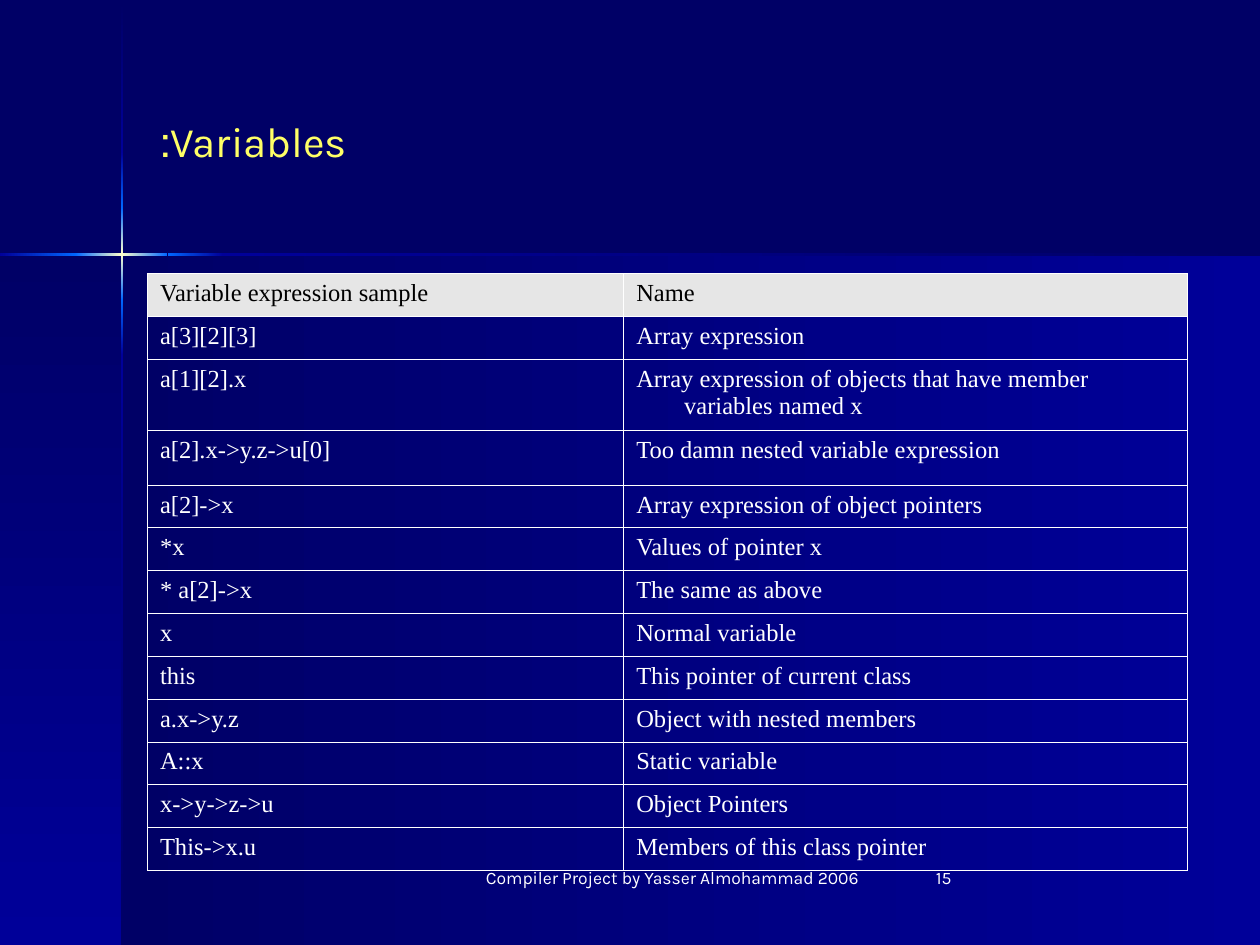
import pptx
import pptx.dml.color
import pptx.enum.shapes
import pptx.enum.text
import pptx.oxml
import pptx.oxml.ns
import pptx.util
from lxml import etree

Inches = pptx.util.Inches
Pt = pptx.util.Pt
ALIGN = pptx.enum.text.PP_ALIGN
ANCHOR = pptx.enum.text.MSO_ANCHOR

COLORS = {
    "navy": "000066",
    "blue": "000099",
    "bright": "0066FF",
    "glow": "FFFFCC",
    "title": "FFFF66",
    "white": "FFFFFF",
    "black": "000000",
    "header": "E6E6E6",
}
DOWN, LEFTWARD = 90, 180

# Left, top, width, height, gradient direction, gradient colours
PANELS = [
    (0.97, 2.02, 9.03, 5.48, LEFTWARD, ["blue", "navy"]),
    (0, 2.02, 0.97, 5.48, DOWN, ["navy", "blue"]),
]
BEAMS = [
    (0.96, 0.01, 0.02, 1.2, DOWN, ["navy", "blue"]),
    (0.96, 2.82, 0.02, 4.68, DOWN, ["blue", "navy"]),
    (1.77, 2.01, 8.23, 0.02, LEFTWARD, ["navy", "blue"]),
    (0.96, 2.38, 0.02, 0.44, DOWN, ["bright", "blue"]),
    (0.96, 1.21, 0.02, 0.44, DOWN, ["blue", "bright"]),
    (0.96, 1.65, 0.02, 0.73, DOWN, ["bright", "glow", "bright"]),
    (0, 2.01, 0.61, 0.02, LEFTWARD, ["bright", "blue"]),
    (1.33, 2.01, 0.44, 0.02, LEFTWARD, ["blue", "bright"]),
    (0.6, 2.01, 0.73, 0.02, LEFTWARD, ["bright", "glow", "bright"]),
]

VARIABLES = [
    ("Variable expression sample", "Name"),
    ("a[3][2][3]", "Array expression"),
    ("a[1][2].x", "Array expression of objects that have member variables named x"),
    ("a[2].x->y.z->u[0]", "Too damn nested variable expression"),
    ("a[2]->x", "Array expression of object pointers"),
    ("*x", "Values of pointer x"),
    ("* a[2]->x", "The same as above"),
    ("x", "Normal variable"),
    ("this", "This pointer of current class"),
    ("a.x->y.z", "Object with nested members"),
    ("A::x", "Static variable"),
    ("x->y->z->u", "Object Pointers"),
    ("This->x.u", "Members of this class pointer"),
]
COLUMN_WIDTHS = [3.78, 4.47]
ROW_HEIGHT = 0.34
TALL_ROWS = {2: 0.57, 3: 0.43}


def rgb(name):
    return pptx.dml.color.RGBColor.from_string(COLORS[name])


def write_text(tf, text, size=10, font="Karla", color="white", align=ALIGN.LEFT,
               rtl=False, hanging=0):
    tf.word_wrap = True
    p = tf.paragraphs[0]
    p.alignment = align
    pPr = p._p.get_or_add_pPr()
    if rtl:
        pPr.set("rtl", "1")
    if hanging:
        pPr.set("marL", str(Inches(hanging)))
        pPr.set("indent", str(-Inches(hanging)))
    r = p.add_run()
    r.text = text
    r.font.size = Pt(size)
    r.font.name = font
    r.font.color.rgb = rgb(color)


def gradient_fill(angle, names):
    """Return a linear gradient with evenly spaced stops, angle clockwise."""
    last = len(names) - 1
    stops = "".join(
        f'<a:gs pos="{100000 * i // last}"><a:srgbClr val="{COLORS[name]}"/></a:gs>'
        for i, name in enumerate(names))
    return pptx.oxml.parse_xml(
        f'<a:gradFill {pptx.oxml.ns.nsdecls("a")} rotWithShape="1">'
        f'<a:gsLst>{stops}</a:gsLst><a:lin ang="{angle * 60000}" scaled="0"/></a:gradFill>')


def add_gradient_bar(s, left, top, width, height, angle, names):
    sp = s.shapes.add_shape(pptx.enum.shapes.MSO_SHAPE.RECTANGLE, Inches(left),
                            Inches(top), Inches(width), Inches(height))
    sp.shadow.inherit = False
    sp.line.fill.background()
    sp._element.spPr.find(pptx.oxml.ns.qn("a:prstGeom")).addnext(
        gradient_fill(angle, names))


def place_title(s, text):
    title = s.shapes.title
    title.left, title.top = Inches(1.17), Inches(0.33)
    title.width, title.height = Inches(8.25), Inches(1.57)
    title.text_frame.vertical_anchor = ANCHOR.MIDDLE
    write_text(title.text_frame, text, size=24, color="title", rtl=True)
    s.shapes._spTree.append(title._element)  # bring in front of the panels


def add_borders(cell):
    tcPr = cell._tc.get_or_add_tcPr()
    qn = pptx.oxml.ns.qn
    for i, side in enumerate(("lnL", "lnR", "lnT", "lnB")):
        ln = etree.Element(qn(f"a:{side}"), w=str(Pt(0.45)))
        fill = etree.SubElement(ln, qn("a:solidFill"))
        etree.SubElement(fill, qn("a:srgbClr"), val=COLORS["white"])
        tcPr.insert(i, ln)


def add_variable_table(s):
    heights = [TALL_ROWS.get(i, ROW_HEIGHT) for i in range(len(VARIABLES))]
    table = s.shapes.add_table(
        len(VARIABLES), len(COLUMN_WIDTHS), Inches(1.17), Inches(2.17),
        Inches(sum(COLUMN_WIDTHS)), Inches(sum(heights))).table
    table.horz_banding = False
    table.first_row = False
    for column, width in zip(table.columns, COLUMN_WIDTHS):
        column.width = Inches(width)
    for i, (row, texts) in enumerate(zip(table.rows, VARIABLES)):
        row.height = Inches(heights[i])
        for cell, text in zip(row.cells, texts):
            if i == 0:
                cell.fill.solid()
                cell.fill.fore_color.rgb = rgb("header")
            else:
                cell.fill.background()
            add_borders(cell)
            write_text(cell.text_frame, text, size=14, font="Times New Roman",
                       color="white" if i else "black", hanging=0.38)


def add_footer(s, text, left, width, align):
    sp = s.shapes.add_textbox(Inches(left), Inches(6.83), Inches(width), Inches(0.5))
    write_text(sp.text_frame, text, align=align)


def main():
    prs = pptx.Presentation()
    prs.slide_width, prs.slide_height = Inches(10), Inches(7.5)
    s = prs.slides.add_slide(prs.slide_layouts[5])
    s.background.fill.solid()
    s.background.fill.fore_color.rgb = rgb("navy")
    for bar in PANELS + BEAMS:
        add_gradient_bar(s, *bar)
    place_title(s, "Variables:")
    add_variable_table(s)
    add_footer(s, "Compiler Project by Yasser Almohammad 2006", 3.75, 3.17, ALIGN.CENTER)
    add_footer(s, "15", 7.33, 2.08, ALIGN.LEFT)
    prs.save("out.pptx")


if __name__ == "__main__":
    main()
